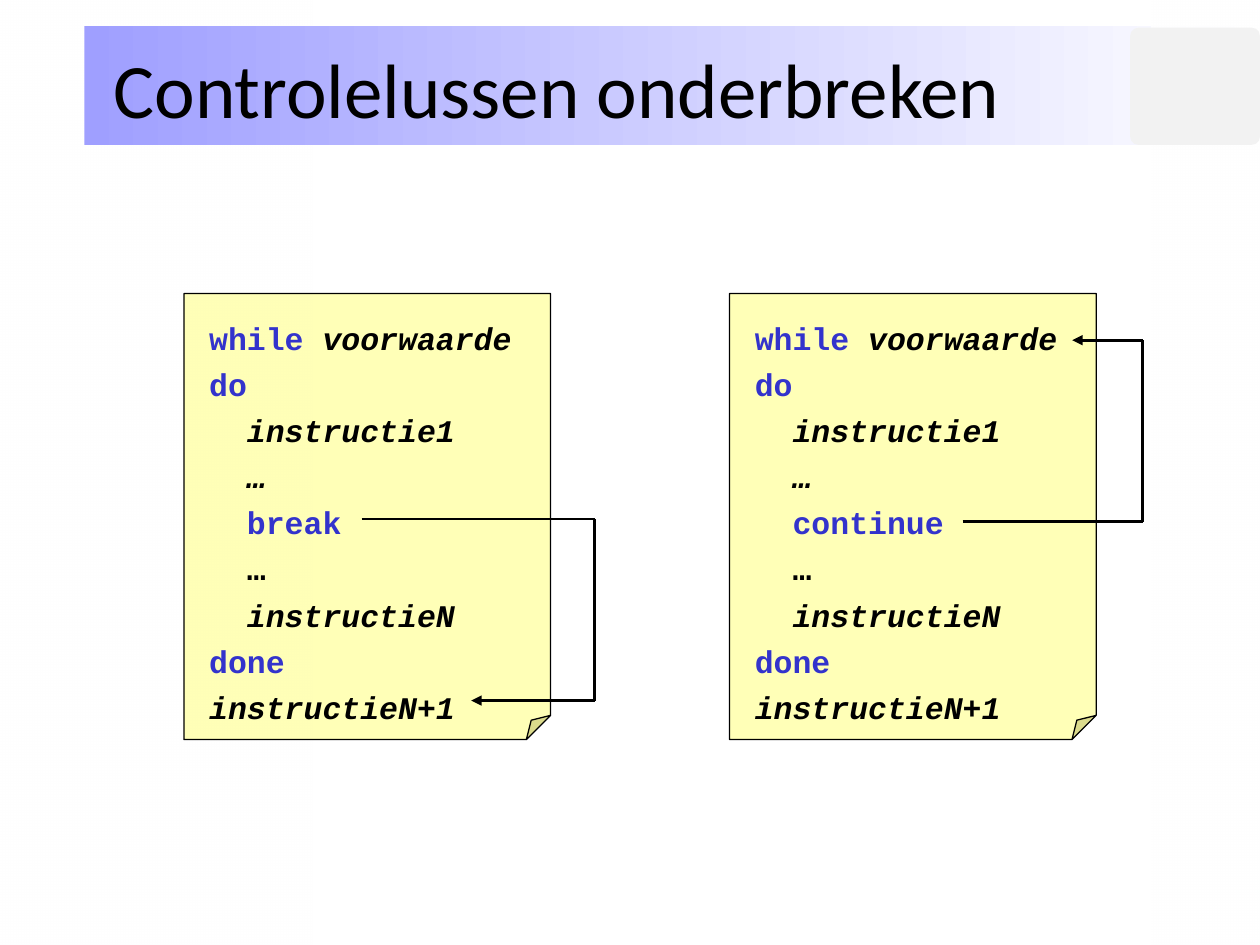
import pptx
import pptx.dml.color
import pptx.enum.shapes
import pptx.enum.text
import pptx.oxml
import pptx.oxml.ns
import pptx.util

Inches = pptx.util.Inches
Pt = pptx.util.Pt
KIND = pptx.enum.shapes.MSO_SHAPE
ANCHOR = pptx.enum.text.MSO_ANCHOR
LEFT = pptx.enum.text.PP_ALIGN.LEFT
BLACK, BLUE, WHITE = "000000", "3333CC", "FFFFFF"
INDENT = 0.3
CODE = {"name": "Courier New", "size": Pt(18), "bold": True}


def add_node(parent, tag, values):
    """Append a DrawingML element with the given attributes."""
    node = pptx.oxml.parse_xml("<a:%s %s/>" % (tag, pptx.oxml.ns.nsdecls("a")))
    for name, value in values.items():
        node.set(name, value)
    parent.append(node)


def paint(color, value):
    color.rgb = pptx.dml.color.RGBColor.from_string(value)


def fade(parent, percent):
    """Set the opacity of the first RGB colour inside an element."""
    color = parent.find(".//" + pptx.oxml.ns.qn("a:srgbClr"))
    add_node(color, "alpha", {"val": str(percent * 1000)})


def style(target, values):
    for name, value in values.items():
        setattr(target, name, value)


def add_shape(slide, kind, box):
    shape = slide.shapes.add_shape(kind, *map(Inches, box))
    shape.shadow.inherit = False
    shape.line.fill.background()
    return shape


def add_blend(slide, box, stops):
    """Add a left-to-right gradient from (colour, opacity) pairs."""
    shape = add_shape(slide, KIND.RECTANGLE, box)
    shape.fill.gradient()
    shape.fill.gradient_angle = 0
    nodes = shape._element.spPr.findall(".//" + pptx.oxml.ns.qn("a:gs"))
    for stop, node, (value, percent) in zip(shape.fill.gradient_stops, nodes, stops):
        paint(stop.color, value)
        if percent < 100:
            fade(node, percent)


def add_title(slide, text):
    title = slide.shapes.title
    style(title, {"left": Inches(0.8), "top": Inches(0.07),
                  "width": Inches(8.18), "height": Inches(1.25)})
    title.text_frame.text = text
    title.text_frame.vertical_anchor = ANCHOR.MIDDLE
    para = title.text_frame.paragraphs[0]
    para.alignment = LEFT
    font = para.runs[0].font
    style(font, {"name": "Calibri", "size": Pt(44)})
    paint(font.color, BLACK)
    # Bring the title in front of the band
    title._element.getparent().append(title._element)


def add_note(slide, left, jump):
    """Add a folded sheet with a loop that holds the given jump keyword."""
    note = add_shape(slide, KIND.FOLDED_CORNER, (left, 2.33, 2.91, 3.54))
    # python-pptx lists no adjustment for this preset
    guides = note._element.spPr.find(".//" + pptx.oxml.ns.qn("a:avLst"))
    add_node(guides, "gd", {"name": "adj", "fmla": "val 6600"})
    note.fill.solid()
    paint(note.fill.fore_color, "FFFF99")
    fade(note._element.spPr, 70)
    note.line.width = Pt(0.75)
    paint(note.line.color, BLACK)
    frame = note.text_frame
    style(frame, {"word_wrap": True, "vertical_anchor": ANCHOR.TOP})
    style(frame, {"margin_" + side: Inches(0.2)
                  for side in ("left", "top", "right", "bottom")})
    # Each line: indent level, then (text, colour, italic) runs
    lines = [
        (0, ("while ", BLUE, False), ("voorwaarde", BLACK, True)),
        (0, ("do", BLUE, False)),
        (1, ("instructie1", BLACK, True)),
        (1, ("…", BLACK, True)),
        (1, (jump, BLUE, False)),
        (1, ("…", BLACK, False)),
        (1, ("instructieN", BLACK, True)),
        (0, ("done", BLUE, False)),
        (0, ("instructieN+1", BLACK, True)),
    ]
    for i, (level, *runs) in enumerate(lines):
        para = frame.add_paragraph() if i else frame.paragraphs[0]
        style(para, {"alignment": LEFT, "space_before": Pt(4.75)})
        para._p.get_or_add_pPr().set("marL", str(int(Inches(INDENT * level))))
        for text, color, italic in runs:
            run = para.add_run()
            run.text = text
            style(run.font, {**CODE, "italic": italic})
            paint(run.font.color, color)


def add_line(slide, start, end, arrow=False):
    line = slide.shapes.add_connector(
        pptx.enum.shapes.MSO_CONNECTOR.STRAIGHT, *map(Inches, start + end))
    line.line.width = Pt(1.5)
    paint(line.line.color, BLACK)
    if arrow:
        add_node(line.line._get_or_add_ln(), "tailEnd", {"type": "triangle"})
    add_node(line._element.spPr, "effectLst", {})


def add_jump(slide, start, side, end):
    """Lead from start out to x = side and back to end with an arrowhead."""
    turn, back = (side, start[1]), (side, end[1])
    add_line(slide, start, turn)
    add_line(slide, turn, back)
    add_line(slide, back, end, arrow=True)


def main():
    deck = pptx.Presentation()
    style(deck, {"slide_width": Inches(10), "slide_height": Inches(7.5)})
    slide = deck.slides.add_slide(deck.slide_layouts[5])

    add_blend(slide, (0, 0, 2.48, 7.5), [(WHITE, 38), (WHITE, 100)])
    add_blend(slide, (0.67, 0.21, 9.33, 0.94), [("9F9FFF", 100), (WHITE, 100)])
    add_blend(slide, (9.14, 0, 0.86, 7.5), [(WHITE, 100), (WHITE, 38)])
    badge = add_shape(slide, KIND.ROUNDED_RECTANGLE, (8.97, 0.22, 1.03, 0.93))
    badge.adjustments[0] = 0.07
    badge.fill.solid()
    paint(badge.fill.fore_color, "F2F2F2")

    add_title(slide, "Controlelussen onderbreken")
    add_note(slide, 1.46, "break")
    add_note(slide, 5.79, "continue")
    add_jump(slide, (2.87, 4.12), 4.72, (3.74, 5.56))
    add_jump(slide, (7.64, 4.14), 9.07, (8.51, 2.7))
    deck.save("out.pptx")


if __name__ == "__main__":
    main()
